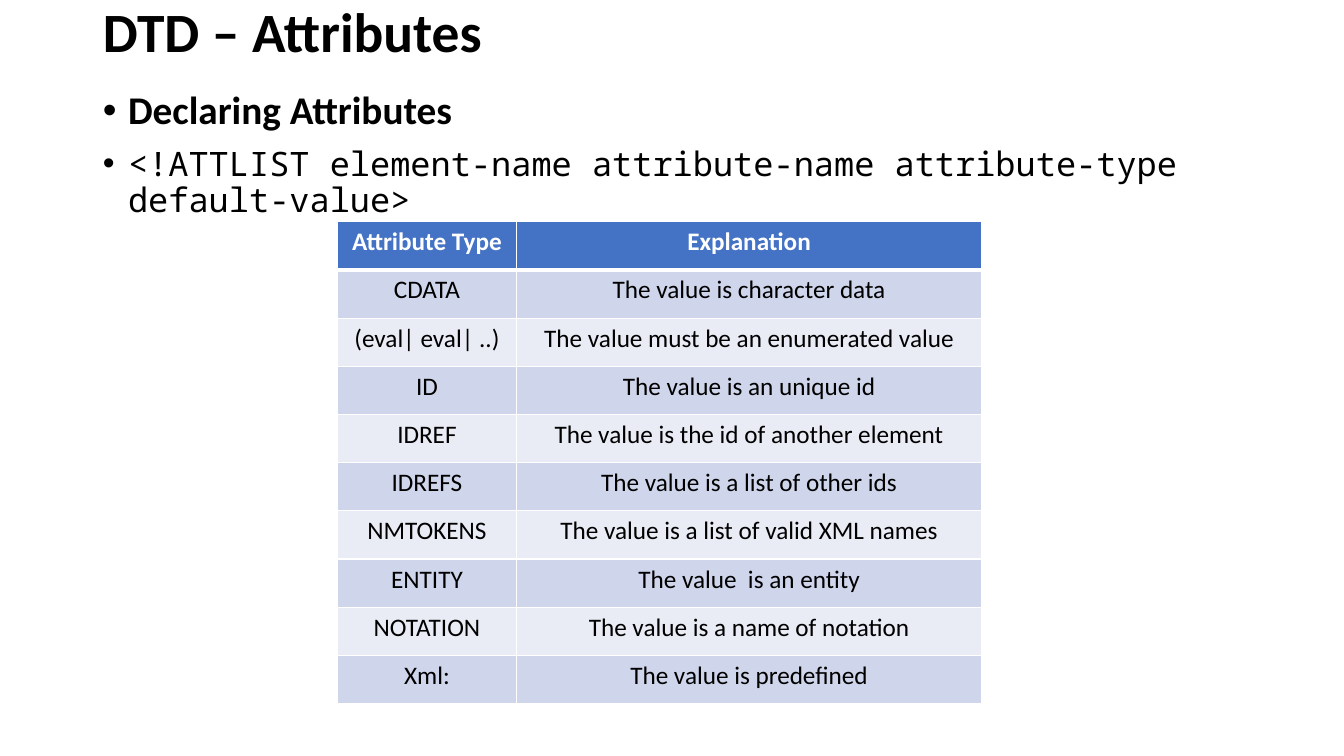
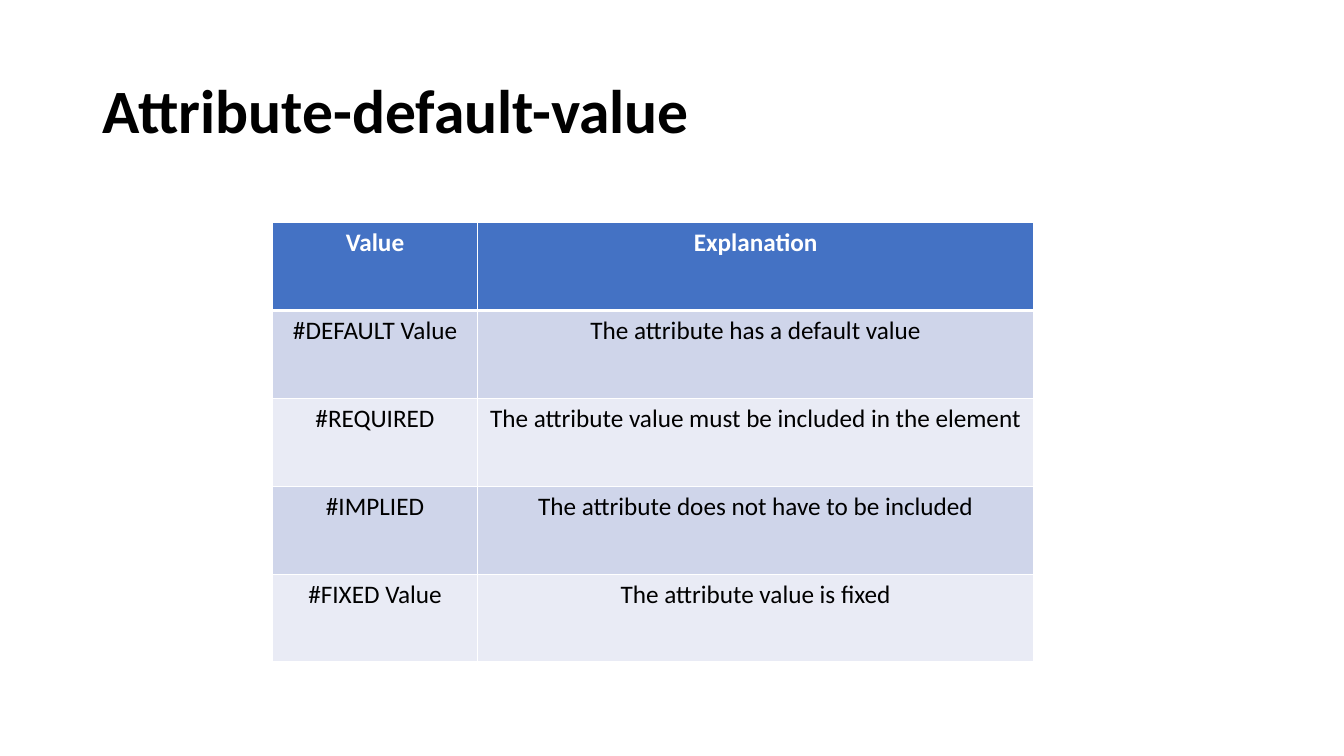
from lxml.etree import SubElement
from pptx import Presentation
from pptx.dml.color import RGBColor
from pptx.enum.text import MSO_ANCHOR, MSO_AUTO_SIZE, PP_ALIGN
from pptx.oxml.ns import qn
from pptx.util import Inches, Pt

BLACK = RGBColor(0x00, 0x00, 0x00)
WHITE = RGBColor(0xFF, 0xFF, 0xFF)
HEADER_BLUE = RGBColor(0x44, 0x72, 0xC4)
BAND_DARK = RGBColor(0xCF, 0xD5, 0xEA)
BAND_LIGHT = RGBColor(0xE9, 0xEB, 0xF5)
FONT = "Calibri"
CODE_FONT = "Noto Sans Mono"

deck = Presentation()
deck.slide_width = Inches(13.33)
deck.slide_height = Inches(7.5)
TITLE_AND_BODY = deck.slide_layouts[1]
TITLE_ONLY = deck.slide_layouts[5]
MARGIN = Inches(0.92)
TEXT_WIDTH = Inches(11.5)


def fill_placeholder(box, top, height, anchor, lines):
    """Place a placeholder and write its (text, size, font, bold) lines."""
    box.left, box.top, box.width, box.height = MARGIN, Inches(top), TEXT_WIDTH, Inches(height)
    frame = box.text_frame
    frame.text = "\n".join(line[0] for line in lines)
    frame.word_wrap = True
    frame.auto_size = MSO_AUTO_SIZE.NONE
    frame.vertical_anchor = anchor
    for para, (_, size, font, bold) in zip(frame.paragraphs, lines):
        para.alignment = PP_ALIGN.LEFT
        para.line_spacing = 0.9
        para.space_before = Pt(0 if para.text == lines[0][0] else 10)
        for span in para.runs:
            span.font.name = font
            span.font.size = Pt(size)
            span.font.bold = bold
            span.font.color.rgb = BLACK


def add_banded_table(page, left, top, widths, row_height, rows):
    """Add a centred two-column table with a header and alternating bands."""
    frame = page.shapes.add_table(len(rows), len(widths), Inches(left), Inches(top),
                                  Inches(sum(widths)), Inches(row_height * len(rows)))
    table = frame.table
    for column, width in zip(table.columns, widths):
        column.width = Inches(width)
    for row_number, texts in enumerate(rows):
        header = row_number == 0
        for column_number, text in enumerate(texts):
            cell = table.cell(row_number, column_number)
            cell.text = text
            # White rules, with a thick one between header and body
            for side in ("lnL", "lnR", "lnT", "lnB"):
                thick = (side == "lnB" and header) or (side == "lnT" and row_number == 1)
                line = SubElement(cell._tc.get_or_add_tcPr(), qn(f"a:{side}"),
                                  w=str(Pt(3 if thick else 1)))
                line_fill = SubElement(line, qn("a:solidFill"))
                SubElement(line_fill, qn("a:srgbClr"), val=str(WHITE))
            cell.fill.solid()
            cell.fill.fore_color.rgb = (HEADER_BLUE if header
                                        else BAND_DARK if row_number % 2 else BAND_LIGHT)
            para = cell.text_frame.paragraphs[0]
            para.alignment = PP_ALIGN.CENTER
            span = para.runs[0]
            span.font.name = FONT
            span.font.size = Pt(18)
            span.font.bold = header
            span.font.color.rgb = WHITE if header else BLACK


# Slide 1: attribute declaration and types
page = deck.slides.add_slide(TITLE_AND_BODY)
fill_placeholder(page.shapes.title, 0, 0.68, MSO_ANCHOR.MIDDLE,
                 [("DTD – Attributes", 39.6, FONT, True)])
body = page.placeholders[1]
fill_placeholder(body, 0.85, 1.19, MSO_ANCHOR.TOP, [
    ("Declaring Attributes", 28, FONT, True),
    ("<!ATTLIST element-name attribute-name attribute-type default-value>", 24, CODE_FONT, False),
])
for para in body.text_frame.paragraphs:
    properties = para._p.get_or_add_pPr()
    properties.set("marL", str(Inches(0.25)))
    properties.set("indent", str(-Inches(0.25)))
    SubElement(properties, qn("a:buFont"), typeface="Arial")
    SubElement(properties, qn("a:buChar"), char="•")
add_banded_table(page, 3.35, 2.2, (1.77, 4.62), 0.478, [
    ("Attribute Type", "Explanation"),
    ("CDATA", "The value is character data"),
    ("(eval| eval| ..)", "The value must be an enumerated value"),
    ("ID", "The value is an unique id"),
    ("IDREF", "The value is the id of another element"),
    ("IDREFS", "The value is a list of other ids"),
    ("NMTOKENS", "The value is a list of valid XML names"),
    ("ENTITY", "The value  is an entity"),
    ("NOTATION", "The value is a name of notation"),
    ("Xml:", "The value is predefined"),
])

# Slide 2: default values
page = deck.slides.add_slide(TITLE_ONLY)
fill_placeholder(page.shapes.title, 0.4, 1.45, MSO_ANCHOR.MIDDLE,
                 [("Attribute-default-value", 44, FONT, True)])
add_banded_table(page, 2.7, 2.21, (2.04, 5.51), 0.872, [
    ("Value", "Explanation"),
    ("#DEFAULT Value", "The attribute has a default value"),
    ("#REQUIRED", "The attribute value must be included in the element"),
    ("#IMPLIED", "The attribute does not have to be included"),
    ("#FIXED Value", "The attribute value is fixed"),
])

deck.save("out.pptx")
